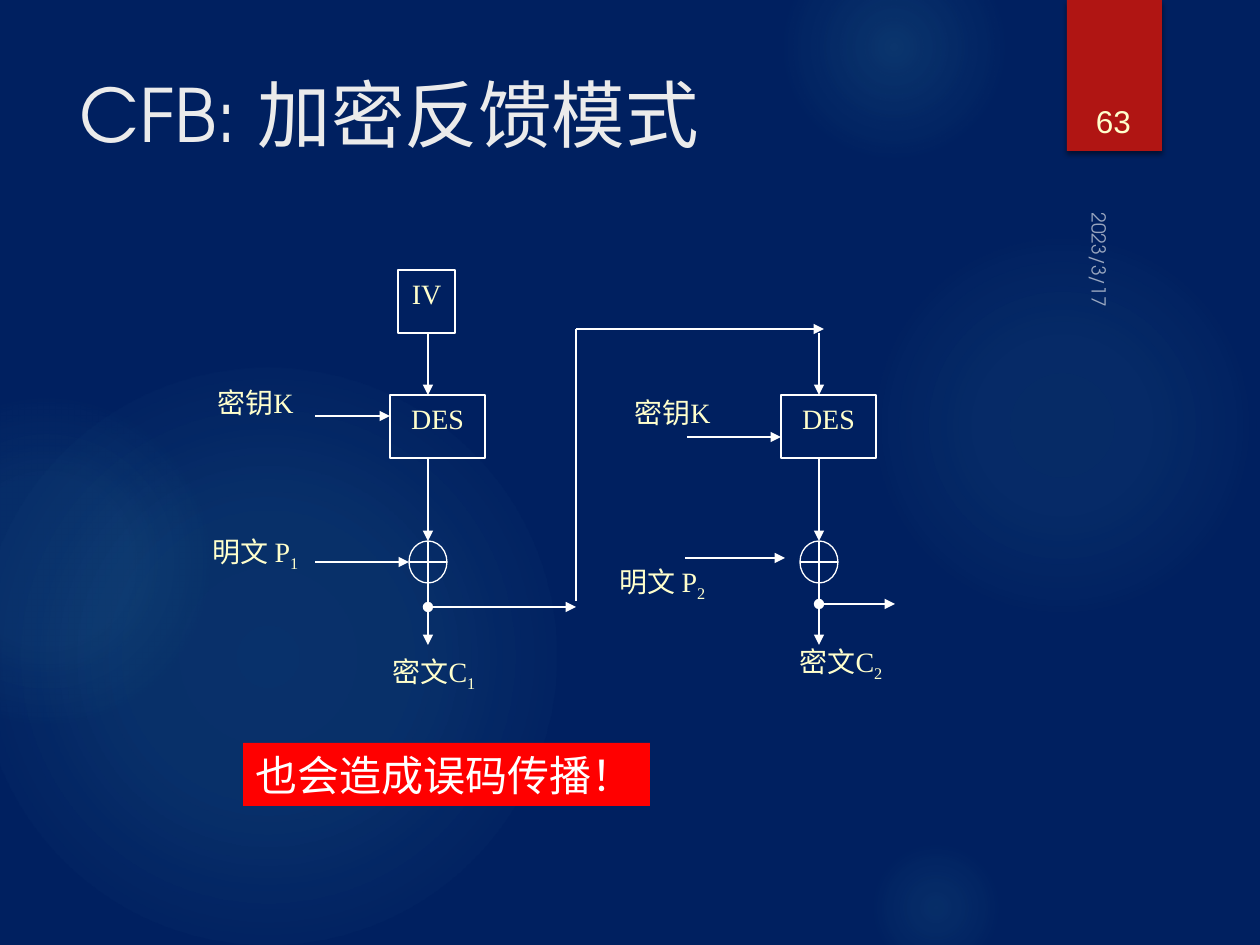
from dataclasses import dataclass
from typing import NamedTuple

from lxml.etree import SubElement
from pptx import Presentation
from pptx.dml.color import RGBColor
from pptx.enum.shapes import MSO_CONNECTOR as Link, MSO_SHAPE as Shape
from pptx.enum.text import MSO_ANCHOR as Anchor, MSO_AUTO_SIZE as AutoSize, PP_ALIGN as Align
from pptx.oxml.ns import qn
from pptx.util import Emu, Pt

PX = 914400 / 126  # EMU in one px


@dataclass(frozen=True)
class Theme:
    background: str = "002060"
    glow: str = "50B9C1"
    tab: str = "B01513"
    alert: str = "FF0000"
    line: str = "FFFFFF"
    title: str = "EBEBEB"
    label: str = "FFFFCC"
    shadow: str = "000000"
    sans: str = "TeX Gyre Adventor"
    number_font: str = "Arial"
    serif: str = "Times New Roman"
    title_size: int = 42
    alert_size: int = 24
    number_size: int = 18
    label_size: int = 16
    date_size: int = 11
    line_width: float = 0.75


class Box(NamedTuple):
    left: int
    top: int
    width: int
    height: int


class Style(NamedTuple):
    font: str
    size: int
    color: str


class Glow(NamedTuple):
    left: int
    top: int
    size: int
    stops: tuple  # (position %, opacity %)


class Label(NamedTuple):
    box: Box
    text: str
    subscript: str = ""
    spacing: float = 0


class Arrow(NamedTuple):
    start: tuple
    end: tuple
    head: str = ""
    tail: str = "triangle"


THEME = Theme()
LABEL = Style(THEME.serif, THEME.label_size, THEME.label)

GLOWS = [
    Glow(868, 231, 388, ((0, 7), (36, 6), (69, 0))),
    Glow(784, -63, 220, ((0, 14), (36, 7), (73, 0))),
    Glow(868, 840, 136, ((0, 9), (36, 5), (66, 0))),
    Glow(-21, 368, 577, ((0, 11), (36, 10), (75, 0))),
    Glow(-116, 399, 325, ((0, 8), (36, 8), (72, 0))),
]
STAGE_AXES = (428, 819)
LABELS = [
    Label(Box(199, 379, 113, 63), "密钥K"),
    Label(Box(616, 389, 113, 63), "密钥K"),
    Label(Box(199, 528, 113, 79), "明文 P", "1"),
    Label(Box(606, 558, 113, 63), "明文 P", "2"),
    Label(Box(368, 648, 132, 49), "密文C", "1", 7.8),
    Label(Box(775, 638, 132, 83), "密文C", "2", 7.8),
]
INPUTS = [
    Arrow((315, 416), (390, 416)),
    Arrow((315, 562), (409, 562)),
    Arrow((687, 437), (781, 437)),
    Arrow((685, 558), (785, 558)),
]
FEEDBACK = [
    Arrow((428, 607), (576, 607), head="oval"),
    Arrow((576, 329), (576, 601), tail=""),
    Arrow((576, 329), (824, 329)),
    Arrow((819, 604), (895, 604), head="oval"),
]


def emu(*lengths: int) -> list[Emu]:
    return [Emu(round(length * PX)) for length in lengths]


def rgb(color: str) -> RGBColor:
    return RGBColor.from_string(color)


def add_color(parent, color: str, opacity: int) -> None:
    node = SubElement(parent, qn("a:srgbClr"), val=color)
    SubElement(node, qn("a:alpha"), val=str(opacity * 1000))


def add_run(paragraph, text: str, style: Style):
    run = paragraph.add_run()
    run.text = text
    run.font.name, run.font.size = style.font, Pt(style.size)
    run.font.color.rgb = rgb(style.color)
    return run


def add_shape(slide, kind, box: Box, fill: str = "", line: str = ""):
    shape = slide.shapes.add_shape(kind, *emu(*box))
    shape.shadow.inherit = False
    if fill:
        shape.fill.solid()
        shape.fill.fore_color.rgb = rgb(fill)
    else:
        shape.fill.background()
    if line:
        shape.line.color.rgb = rgb(line)
        shape.line.width = Pt(THEME.line_width)
    else:
        shape.line.fill.background()
    return shape


def write(shape, text: str, style: Style, align=Align.LEFT, anchor=Anchor.TOP):
    frame = shape.text_frame
    frame.word_wrap, frame.vertical_anchor = True, anchor
    paragraph = frame.paragraphs[0]
    paragraph.alignment = align
    return add_run(paragraph, text, style)


def add_text(slide, box: Box, text: str, style: Style, align=Align.LEFT, anchor=Anchor.TOP):
    holder = slide.shapes.add_textbox(*emu(*box))
    return holder, write(holder, text, style, align, anchor)


def add_glow(slide, glow: Glow) -> None:
    circle = add_shape(slide, Shape.OVAL, Box(glow.left, glow.top, glow.size, glow.size))
    properties = circle.element.spPr
    gradient = SubElement(properties, qn("a:gradFill"), rotWithShape="1")
    properties.replace(properties.find(qn("a:noFill")), gradient)
    stops = SubElement(gradient, qn("a:gsLst"))
    for position, opacity in glow.stops:
        add_color(SubElement(stops, qn("a:gs"), pos=str(position * 1000)), THEME.glow, opacity)
    path = SubElement(gradient, qn("a:path"), path="circle")
    SubElement(path, qn("a:fillToRect"), {side: "50000" for side in "ltrb"})


def add_label(slide, label: Label) -> None:
    holder, _ = add_text(slide, label.box, label.text, LABEL, Align.CENTER)
    paragraph = holder.text_frame.paragraphs[0]
    paragraph.space_after = Pt(label.spacing)
    if label.subscript:
        subscript = add_run(paragraph, label.subscript, LABEL)
        subscript._r.get_or_add_rPr().set("baseline", "-25000")


def add_arrow(slide, arrow: Arrow) -> None:
    connector = slide.shapes.add_connector(Link.STRAIGHT, *emu(*arrow.start, *arrow.end))
    connector.line.color.rgb = rgb(THEME.line)
    connector.line.width = Pt(THEME.line_width)
    properties = connector.element.spPr
    outline = properties.find(qn("a:ln"))
    for tag, kind in (("a:headEnd", arrow.head), ("a:tailEnd", arrow.tail)):
        if kind:
            SubElement(outline, qn(tag), type=kind)
    SubElement(properties, qn("a:effectLst"))


def add_node(slide, box: Box, text: str) -> None:
    write(add_shape(slide, Shape.RECTANGLE, box, line=THEME.line), text, LABEL, Align.CENTER)


def add_stage(slide, axis: int) -> None:
    add_node(slide, Box(axis - 38, 395, 95, 63), "DES")
    add_shape(slide, Shape.FLOWCHART_OR, Box(axis - 19, 541, 38, 42), line=THEME.line)
    for top, bottom in ((333, 395), (458, 541), (583, 645)):
        add_arrow(slide, Arrow((axis, top), (axis, bottom)))


def add_header(slide) -> None:
    tab = add_shape(slide, Shape.RECTANGLE, Box(1067, 0, 95, 151), THEME.tab)
    shadow = SubElement(tab.element.spPr.find(qn("a:effectLst")), qn("a:outerShdw"),
                        blurRad=str(Pt(3)), dist=str(Pt(2)), dir="5400000", rotWithShape="0")
    add_color(shadow, THEME.shadow, 45)
    date_box, date = add_text(slide, Box(1033, 252, 136, 32), "2023/3/17",
                              Style(THEME.sans, THEME.date_size, THEME.line))
    date_box.rotation = 90
    date_color = next(date._r.iter(qn("a:srgbClr")))
    SubElement(date_color, qn("a:alpha"), val="60000")
    add_text(slide, Box(1070, 40, 87, 106), "63",
             Style(THEME.number_font, THEME.number_size, THEME.label), Align.CENTER, Anchor.BOTTOM)
    add_text(slide, Box(67, 63, 973, 193), "CFB: 加密反馈模式",
             Style(THEME.sans, THEME.title_size, THEME.title))


def main() -> None:
    deck = Presentation()
    deck.slide_width, deck.slide_height = emu(1260, 945)
    slide = deck.slides.add_slide(deck.slide_layouts[6])

    # Background and header
    slide.background.fill.solid()
    slide.background.fill.fore_color.rgb = rgb(THEME.background)
    for glow in GLOWS:
        add_glow(slide, glow)
    add_header(slide)

    # Cipher diagram
    for label in LABELS:
        add_label(slide, label)
    add_node(slide, Box(398, 270, 57, 63), "IV")
    for axis in STAGE_AXES:
        add_stage(slide, axis)
    for arrow in INPUTS + FEEDBACK:
        add_arrow(slide, arrow)

    # Conclusion
    conclusion = add_shape(slide, Shape.RECTANGLE, Box(243, 743, 407, 63), THEME.alert)
    write(conclusion, "也会造成误码传播！", Style(THEME.sans, THEME.alert_size, THEME.line))
    conclusion.text_frame.word_wrap = False
    conclusion.text_frame.auto_size = AutoSize.SHAPE_TO_FIT_TEXT

    deck.save("out.pptx")


if __name__ == "__main__":
    main()
